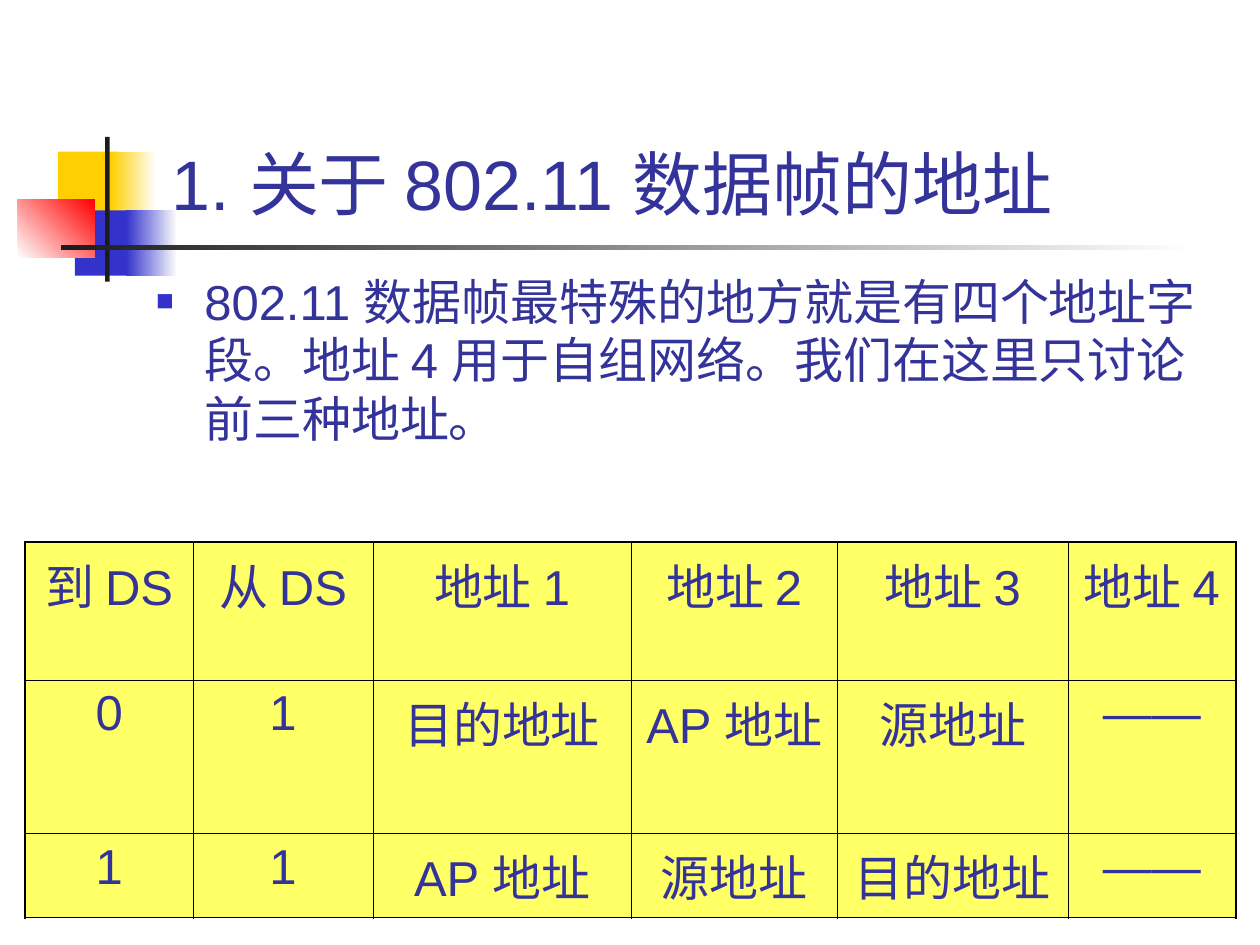
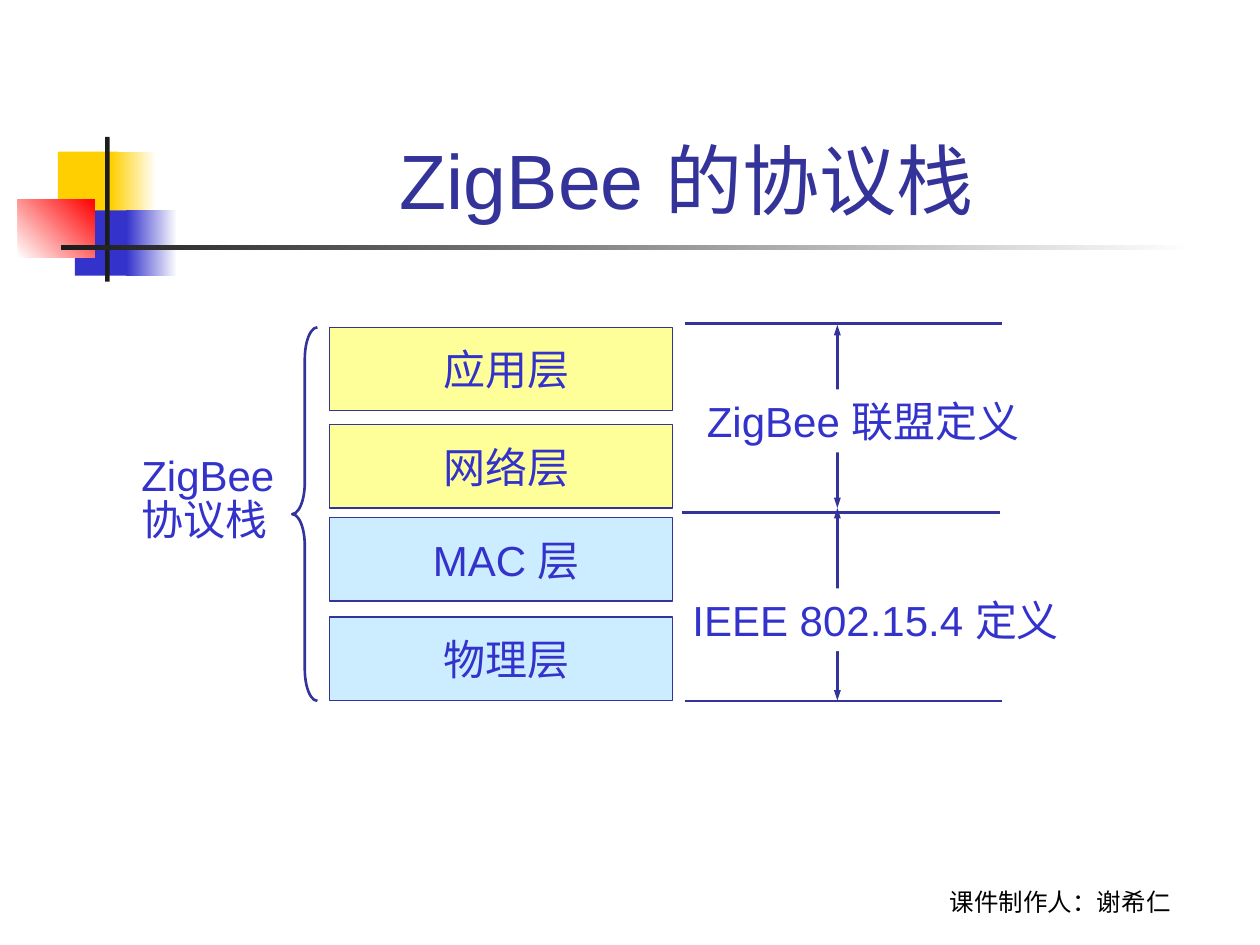
from dataclasses import dataclass
from itertools import pairwise

from lxml.etree import SubElement
from pptx import Presentation
from pptx.dml.color import RGBColor
from pptx.enum.shapes import MSO_CONNECTOR, MSO_SHAPE
from pptx.enum.text import MSO_ANCHOR, MSO_AUTO_SIZE, PP_ALIGN
from pptx.oxml.ns import qn
from pptx.util import Cm, Pt


@dataclass(frozen=True)
class Theme:
    font: str = "Arial"
    footer_font: str = "Roboto"
    ink: str = "333399"
    accent: str = "3333CC"
    gold: str = "FFCF01"
    red: str = "FF0000"
    dark: str = "1C1C1C"
    black: str = "000000"
    white: str = "FFFFFF"
    table_fill: str = "FFFF66"
    upper_layer: str = "FFFF99"
    lower_layer: str = "CCECFF"
    title_size: float = 40
    large_title_size: float = 44
    body_size: float = 28
    label_size: float = 24
    footer_size: float = 14
    thin: float = 0.75
    medium: float = 1.5
    table_inner: float = 0.45
    table_outer: float = 1.08


THEME = Theme()


def rgb(value):
    return RGBColor.from_string(value)


def write_text(frame, text, size=THEME.label_size, color=THEME.accent, font=THEME.font,
               align=PP_ALIGN.LEFT, anchor=MSO_ANCHOR.TOP, line_points=None, bullet=None):
    frame.vertical_anchor = anchor
    for index, line in enumerate(text.split("\n")):
        paragraph = frame.paragraphs[0] if index == 0 else frame.add_paragraph()
        if bullet:
            add_bullet(paragraph, bullet)
        paragraph.alignment = align
        if line_points:
            paragraph.line_spacing = Pt(line_points)
        run = paragraph.add_run()
        run.text = line
        run.font.name = font
        run.font.size = Pt(size)
        run.font.bold = False
        run.font.color.rgb = rgb(color)


def add_bullet(paragraph, character):
    properties = paragraph._p.get_or_add_pPr()
    properties.set("marL", str(Cm(0.97)))
    properties.set("indent", str(-Cm(0.97)))
    color = SubElement(properties, qn("a:buClr"))
    SubElement(color, qn("a:srgbClr"), val=THEME.accent)
    SubElement(properties, qn("a:buSzPct"), val="60000")
    SubElement(properties, qn("a:buFont"), typeface=THEME.font)
    SubElement(properties, qn("a:buChar"), char=character)


def set_border(cell, side, width):
    properties = cell._tc.get_or_add_tcPr()
    border = SubElement(properties, qn(f"a:ln{side}"), w=str(Pt(width)))
    fill = SubElement(border, qn("a:solidFill"))
    SubElement(fill, qn("a:srgbClr"), val=THEME.black)


class Deck:
    def __init__(self, theme):
        self.theme = theme
        self.presentation = Presentation()
        self.presentation.slide_width = Cm(25.4)
        self.presentation.slide_height = Cm(19.05)
        self.slide = None

    def start_slide(self, title, size, align=PP_ALIGN.LEFT):
        self.slide = self.presentation.slides.add_slide(self.presentation.slide_layouts[5])
        self.ornament()
        placeholder = self.slide.shapes.title
        placeholder.left, placeholder.top = Cm(3.2), Cm(0.6)
        placeholder.width, placeholder.height = Cm(21.64), Cm(4.06)
        placeholder.text_frame.auto_size = MSO_AUTO_SIZE.NONE
        write_text(placeholder.text_frame, title, size=size, color=self.theme.ink,
                   align=align, anchor=MSO_ANCHOR.BOTTOM)
        tree = self.slide.shapes._spTree
        tree.append(placeholder._element)

    def ornament(self):
        theme = self.theme
        self.shape(1.17, 3.06, 1.22, 1.32, fill=theme.gold)
        self.gradient(2.24, 3.06, 0.91, 1.32, theme.gold, theme.white)
        self.shape(1.51, 4.24, 1.17, 1.32, fill=theme.accent)
        self.gradient(2.55, 4.24, 1.02, 1.32, theme.accent, theme.white)
        self.gradient(0.36, 4.02, 1.55, 1.18, theme.white, theme.red, angle=45)
        self.shape(2.12, 2.76, 0.09, 2.92, fill=theme.dark)
        self.gradient(1.23, 4.94, 22.86, 0.1, theme.dark, theme.white)

    def shape(self, left, top, width, height, fill=None, line=None,
              line_width=THEME.thin, kind=MSO_SHAPE.RECTANGLE):
        shape = self.slide.shapes.add_shape(kind, Cm(left), Cm(top), Cm(width), Cm(height))
        shape.shadow.inherit = False
        if fill:
            shape.fill.solid()
            shape.fill.fore_color.rgb = rgb(fill)
        else:
            shape.fill.background()
        if line:
            shape.line.color.rgb = rgb(line)
            shape.line.width = Pt(line_width)
        else:
            shape.line.fill.background()
        return shape

    def gradient(self, left, top, width, height, start, end, angle=0):
        shape = self.shape(left, top, width, height)
        shape.fill.gradient()
        shape.fill.gradient_angle = angle
        for stop, color in zip(shape.fill.gradient_stops, (start, end)):
            stop.color.rgb = rgb(color)

    def text(self, left, top, width, height, text, fill=None, wrap=True, **text_format):
        box = self.slide.shapes.add_textbox(Cm(left), Cm(top), Cm(width), Cm(height))
        box.text_frame.word_wrap = True
        if not wrap:
            box.text_frame.margin_right = 0
        if fill:
            box.fill.solid()
            box.fill.fore_color.rgb = rgb(fill)
        write_text(box.text_frame, text, **text_format)

    def layer(self, left, top, width, height, name, fill):
        box = self.shape(left, top, width, height, fill=fill, line=self.theme.ink)
        box.text_frame.margin_left = Cm(0.46)
        write_text(box.text_frame, name, align=PP_ALIGN.CENTER, anchor=MSO_ANCHOR.MIDDLE)

    def line(self, start_x, start_y, end_x, end_y, arrows=False):
        connector = self.slide.shapes.add_connector(
            MSO_CONNECTOR.STRAIGHT, Cm(start_x), Cm(start_y), Cm(end_x), Cm(end_y))
        connector.line.color.rgb = rgb(self.theme.ink)
        connector.line.width = Pt(self.theme.medium)
        SubElement(connector._element.spPr, qn("a:effectLst"))
        if arrows:
            outline = connector.line._get_or_add_ln()
            for end in ("headEnd", "tailEnd"):
                SubElement(outline, qn(f"a:{end}"), type="triangle", w="sm", len="med")

    def table(self, left, top, column_widths, row_heights, rows):
        theme = self.theme
        table = self.slide.shapes.add_table(
            len(rows), len(column_widths), Cm(left), Cm(top),
            Cm(sum(column_widths)), Cm(sum(row_heights))).table
        table.first_row = table.horz_banding = False
        for column, width in zip(table.columns, column_widths):
            column.width = Cm(width)
        for row, height in zip(table.rows, row_heights):
            row.height = Cm(height)
        last_row, last_column = len(rows) - 1, len(column_widths) - 1
        for row_index, row in enumerate(rows):
            for column_index, value in enumerate(row):
                cell = table.cell(row_index, column_index)
                write_text(cell.text_frame, value, size=theme.body_size,
                           color=theme.ink, align=PP_ALIGN.CENTER)
                outer_sides = {"L": column_index == 0, "R": column_index == last_column,
                               "T": row_index == 0, "B": row_index == last_row}
                for side, is_outer in outer_sides.items():
                    set_border(cell, side, theme.table_outer if is_outer else theme.table_inner)
                cell.fill.solid()
                cell.fill.fore_color.rgb = rgb(theme.table_fill)

    def footer(self, text):
        self.text(17.35, 17.32, 8.05, 1.27, text, size=self.theme.footer_size,
                  font=self.theme.footer_font, color=self.theme.black,
                  align=PP_ALIGN.CENTER, anchor=MSO_ANCHOR.BOTTOM)


def build_address_slide(deck):
    theme = deck.theme
    deck.start_slide("1. 关于 802.11 数据帧的地址", theme.title_size)
    deck.text(2.9, 5.34, 21.59, 3.99,
              "802.11 数据帧最特殊的地方就是有四个地址字段。地址 4 用于自组网络。"
              "我们在这里只讨论前三种地址。",
              size=theme.body_size, color=theme.ink, line_points=33.6, bullet="■")
    deck.table(0.51, 10.93, [3.38, 3.63, 5.2, 4.16, 4.65, 3.38], [2.78, 3.1, 1.69], [
        ["到 DS", "从 DS", "地址 1", "地址 2", "地址 3", "地址 4"],
        ["0", "1", "目的地址", "AP 地址", "源地址", "——"],
        ["1", "1", "AP 地址", "源地址", "目的地址", "——"],
    ])


def build_stack_slide(deck):
    theme = deck.theme
    deck.start_slide("ZigBee 的协议栈 ", theme.large_title_size, align=PP_ALIGN.CENTER)
    deck.footer("课件制作人：谢希仁")

    layers = [("应用层", 6.6, theme.upper_layer), ("网络层", 8.56, theme.upper_layer),
              ("MAC 层", 10.44, theme.lower_layer), ("物理层", 12.44, theme.lower_layer)]
    for name, top, fill in layers:
        deck.layer(6.65, top, 6.91, 1.68, name, fill)

    for left, top in ((13.8, 6.52), (13.75, 10.33), (13.8, 14.13)):
        deck.line(left, top, left + 6.4, top)
    for upper, lower in pairwise((6.55, 10.24, 14.12)):
        deck.line(16.88, upper, 16.88, lower, arrows=True)
    deck.text(14, 7.85, 7.01, 1.27, "ZigBee 联盟定义", fill=theme.white, wrap=False)
    deck.text(13.71, 11.86, 8.1, 1.27, "IEEE 802.15.4 定义", fill=theme.white, wrap=False)

    brace = deck.shape(5.89, 6.6, 0.51, 7.53, line=theme.ink,
                       line_width=theme.medium, kind=MSO_SHAPE.LEFT_BRACE)
    brace.adjustments[0] = 1.25
    deck.text(2.6, 9.04, 3.18, 2.08, "ZigBee\n协议栈", line_points=25.6, wrap=False)


def main():
    deck = Deck(THEME)
    build_address_slide(deck)
    build_stack_slide(deck)
    deck.presentation.save("out.pptx")


if __name__ == "__main__":
    main()
